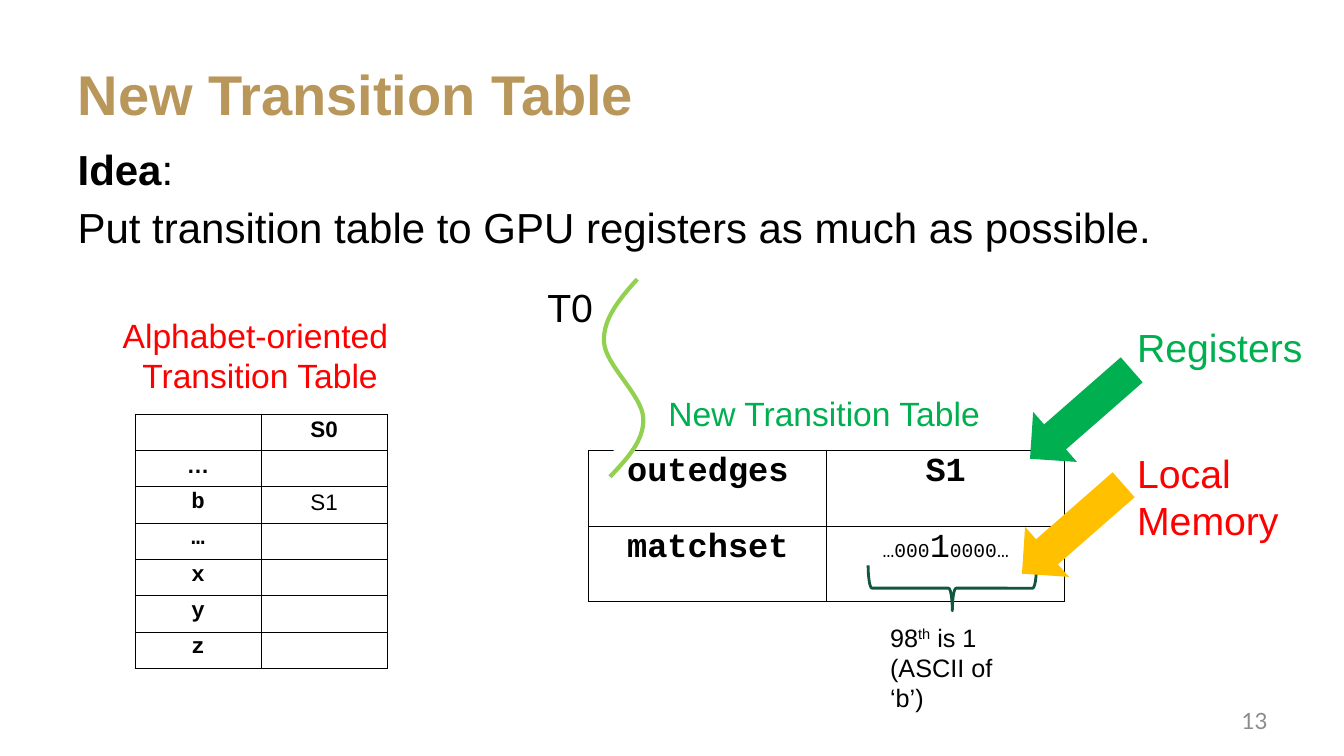
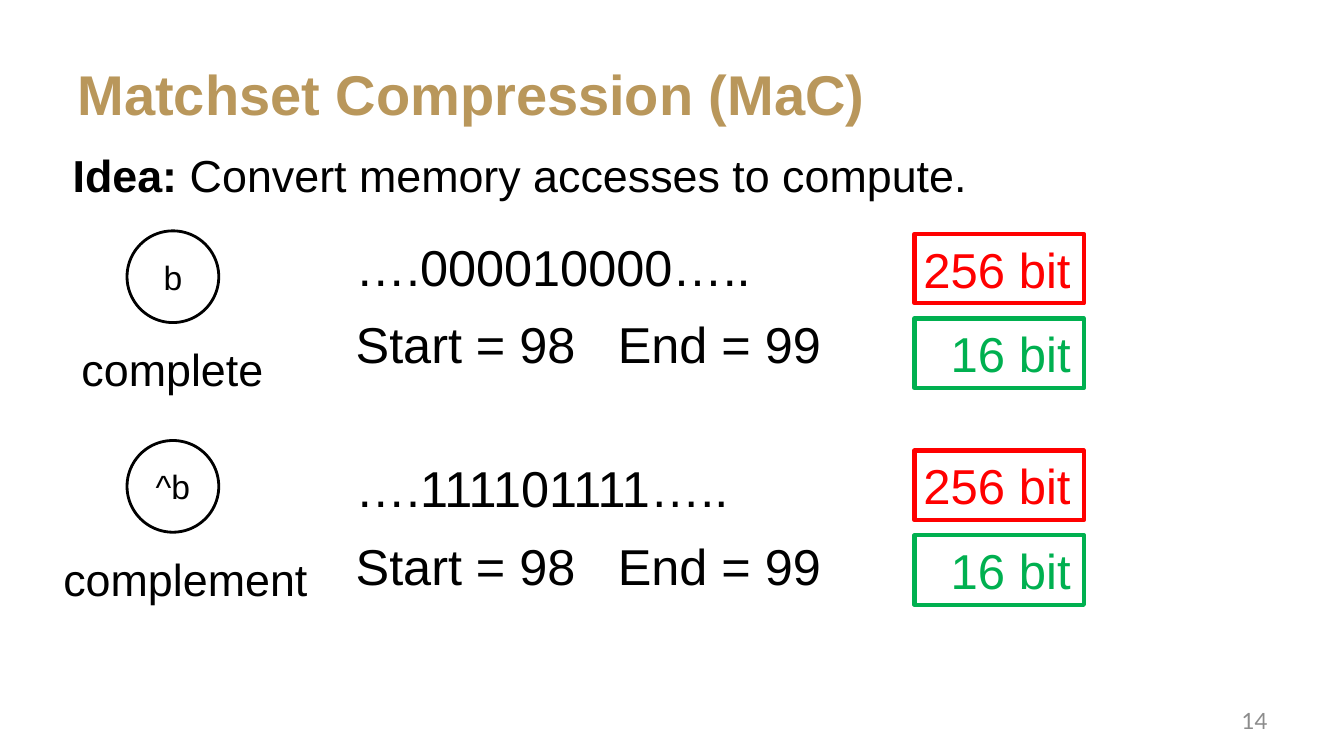
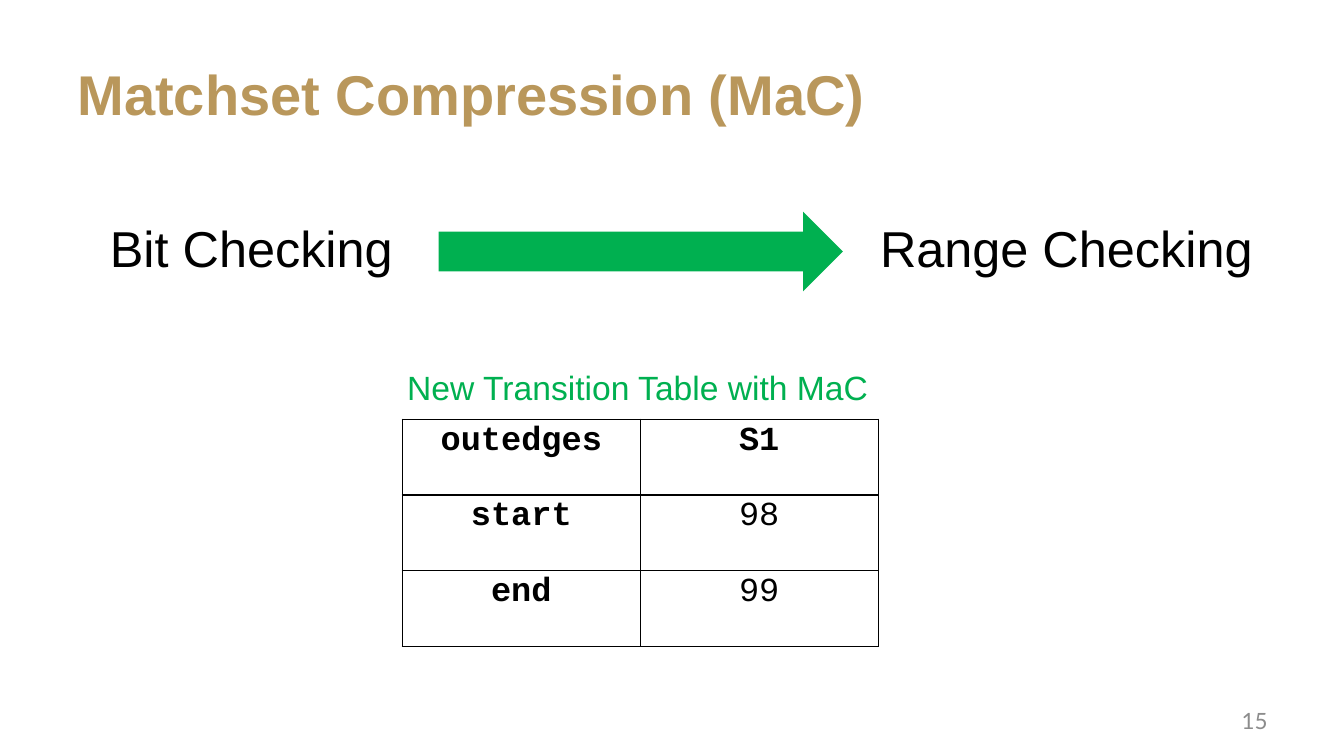
from lxml import etree
from pptx import Presentation
from pptx.dml.color import RGBColor
from pptx.enum import shapes, text
from pptx.oxml import ns
from pptx.util import Inches, Pt

GOLD = RGBColor(0xB9, 0x97, 0x5B)
BLACK = RGBColor(0, 0, 0)
WHITE = RGBColor(0xFF, 0xFF, 0xFF)
GRAY = RGBColor(0x8C, 0x8C, 0x8C)
RED = RGBColor(0xFF, 0, 0)
GREEN = RGBColor(0, 0xB0, 0x50)
AMBER = RGBColor(0xFF, 0xC0, 0)
LIME = RGBColor(0x92, 0xD0, 0x50)
DARK_GREEN = RGBColor(0x11, 0x57, 0x40)
SANS, MONO, FOOTER_FONT = "Arial", "Courier New", "Lato"
LEFT, CENTER, RIGHT = text.PP_ALIGN.LEFT, text.PP_ALIGN.CENTER, text.PP_ALIGN.RIGHT
SHAPE = shapes.MSO_SHAPE


def lengths(*values):
    """Turn inches into a list of lengths."""
    return [Inches(value) for value in values]


def place(shape, box):
    """Move and size a shape to a box in inches."""
    shape.left, shape.top, shape.width, shape.height = lengths(*box)


def write(paragraph, content, size, color=BLACK, name=SANS, bold=False, align=LEFT):
    """Fill a paragraph with a string or with runs that override its font."""
    font = paragraph.font
    font.size, font.name, font.color.rgb = Pt(size), name, color
    paragraph.alignment = align
    if isinstance(content, str):
        font.bold = bold
        content = [(content, {})]
    for words, changes in content:
        run = paragraph.add_run()
        run.text = words
        for attribute, value in changes.items():
            setattr(run.font, attribute, value)


def write_lines(frame, lines, size, **style):
    """Write one paragraph for each line of a text frame."""
    for index, line in enumerate(lines):
        paragraph = frame.add_paragraph() if index else frame.paragraphs[0]
        write(paragraph, line, size, **style)


def add_label(slide, box, lines, size, anchor=text.MSO_ANCHOR.TOP, **style):
    """Add a wrapped text box and return its text frame."""
    frame = slide.shapes.add_textbox(*lengths(*box)).text_frame
    frame.word_wrap = True
    frame.margin_right = 0
    frame.vertical_anchor = anchor
    write_lines(frame, lines, size, **style)
    return frame


def paint(shape, fill=None, line=None, width=1):
    """Set the fill and line of a shape and drop its shadow."""
    shape.shadow.inherit = False
    if fill is None:
        shape.fill.background()
    else:
        shape.fill.solid()
        shape.fill.fore_color.rgb = fill
    if line is None:
        shape.line.fill.background()
    else:
        shape.line.color.rgb, shape.line.width = line, Pt(width)


def add_figure(slide, kind, box, rotation=0, **colors):
    """Add a painted preset shape."""
    shape = slide.shapes.add_shape(kind, *lengths(*box))
    shape.rotation = rotation
    paint(shape, **colors)
    return shape


def add_slide(presentation, number, title, body_box, body, body_size):
    """Add a slide with title, unbulleted body and page number."""
    slide = presentation.slides.add_slide(presentation.slide_layouts[1])
    heading, content = slide.placeholders
    for shape, box in ((heading, (0.67, 0.3, 12, 1.25)), (content, body_box)):
        place(shape, box)
        shape.text_frame.auto_size = text.MSO_AUTO_SIZE.NONE
    write_lines(heading.text_frame, [title], 40, color=GOLD, bold=True)
    write_lines(content.text_frame, body, body_size)
    for paragraph in content.text_frame.paragraphs:
        properties = paragraph._p.get_or_add_pPr()
        properties.set("marL", "0")
        properties.set("indent", "0")
        properties.insert_element_before(
            properties.makeelement(ns.qn("a:buNone")), "a:tabLst", "a:defRPr", "a:extLst")
    frame = add_label(slide, (9.56, 6.95, 3.11, 0.4), [str(number)], 16, color=GRAY,
                      name=FOOTER_FONT, align=RIGHT, anchor=text.MSO_ANCHOR.MIDDLE)
    frame.margin_right = Inches(0.1)
    return slide


def border_cell(cell):
    """Draw thin black borders around a cell."""
    properties = cell._tc.get_or_add_tcPr()
    for index, side in enumerate(("lnL", "lnR", "lnT", "lnB")):
        line = etree.Element(ns.qn("a:" + side), w=str(Pt(1)))
        fill = etree.SubElement(line, ns.qn("a:solidFill"))
        etree.SubElement(fill, ns.qn("a:srgbClr"), val=str(BLACK))
        properties.insert(index, line)


def add_grid(slide, left, top, column_width, row_height, rows, size):
    """Add a bordered white table whose cells are (content, font, bold)."""
    columns = len(rows[0])
    box = (left, top, column_width * columns, row_height * len(rows))
    table = slide.shapes.add_table(len(rows), columns, *lengths(*box)).table
    table.first_row = table.horz_banding = False
    for row_index, row in enumerate(rows):
        table.rows[row_index].height = Inches(row_height)
        for column_index, (content, name, bold) in enumerate(row):
            cell = table.cell(row_index, column_index)
            cell.margin_left = cell.margin_right = Inches(0.07)
            cell.margin_top = cell.margin_bottom = Inches(0.03)
            cell.fill.solid()
            cell.fill.fore_color.rgb = WHITE
            border_cell(cell)
            if content:
                write(cell.text_frame.paragraphs[0], content, size,
                      name=name, bold=bold, align=CENTER)


def add_thread(slide, left, top):
    """Draw the wavy thread line from Bezier pieces."""
    pieces = [((0.33, 0), (0.16, 0.19), (-0.01, 0.39), (0, 0.62)),
              ((0, 0.62), (0.01, 0.85), (0.38, 1.15), (0.39, 1.38)),
              ((0.39, 1.38), (0.4, 1.6), (0.23, 1.78), (0.06, 1.96))]
    points = []
    for piece in pieces:
        for step in range(17):
            t = step / 16
            weights = ((1 - t) ** 3, 3 * t * (1 - t) ** 2, 3 * t * t * (1 - t), t ** 3)
            x, y = (sum(w * p[axis] for w, p in zip(weights, piece)) for axis in (0, 1))
            points.append((Inches(left + x), Inches(top + y)))
    builder = slide.shapes.build_freeform(*points[0])
    builder.add_line_segments(points[1:], close=False)
    paint(builder.convert_to_shape(), fill=WHITE, line=LIME, width=3)


def add_alphabet_table(slide, left, top):
    """Add the alphabet-oriented table under its caption."""
    add_label(slide, (left, top, 2.86, 0.91), ["Alphabet-oriented ", "Transition Table"],
              24, color=RED, align=CENTER)
    rows = [[("", SANS, False), ("S0", SANS, True)],
            [("…", SANS, True), ("", SANS, False)],
            [("b", MONO, True), ("S1", SANS, False)]]
    rows += [[(letter, MONO, True), ("", SANS, False)] for letter in "…xyz"]
    add_grid(slide, left + 0.24, top + 1.04, 1.25, 0.36, rows, 16)


def add_memory_pointer(slide, label_box, lines, label_color, arrow_box, arrow_color):
    """Add a label and the slanted arrow from it to the table."""
    add_figure(slide, SHAPE.RIGHT_ARROW, arrow_box, 138.8, fill=arrow_color)
    add_label(slide, label_box, lines, 28, color=label_color)


def add_register_table(slide, left, top):
    """Add the new transition table with its thread, bit note and pointers."""
    small, large = {"size": Pt(14)}, {"size": Pt(24)}
    bits = [("…000", small), ("1", large), ("0000…", small)]
    rows = [[("outedges", MONO, True), ("S1", MONO, True)],
            [("matchset", MONO, True), (bits, MONO, False)]]
    add_label(slide, (left - 0.51, top - 1.71, 0.76, 0.57), ["T0"], 28)
    add_grid(slide, left, top, 2.36, 0.75, rows, 24)
    add_figure(slide, SHAPE.RIGHT_BRACE, (left + 3.38, top + 0.53, 0.45, 1.67), 90,
               line=DARK_GREEN, width=2)
    frame = add_label(slide, (left + 2.89, top + 1.65, 1.31, 0.71),
                      [[("98", {}), ("th", {}), (" is 1", {})], "(ASCII of ‘b’)"], 18)
    frame.paragraphs[0].runs[1]._r.get_or_add_rPr().set("baseline", "30000")
    add_thread(slide, left + 0.15, top - 1.7)
    add_memory_pointer(slide, (left + 5.34, top - 0.06, 1.72, 1.04), ["Local", "Memory"], RED,
                       (left + 4.13, top + 0.45, 1.34, 0.66), AMBER)
    add_label(slide, (left + 0.69, top - 0.62, 3.32, 0.5), ["New Transition Table"],
              24, color=GREEN)
    add_memory_pointer(slide, (left + 5.34, top - 1.31, 1.86, 0.57), ["Registers"], GREEN,
                       (left + 4.21, top - 0.69, 1.34, 0.66), GREEN)


def add_match_case(slide, symbol, caption, caption_left, bits, tops):
    """Add one match case: circled symbol, bits, range and their sizes."""
    circle_top, bits_top, size_top = tops
    circle = add_figure(slide, SHAPE.OVAL, (1.26, circle_top, 0.91, 0.91), line=BLACK, width=2)
    write_lines(circle.text_frame, [symbol], 24, align=CENTER)
    add_label(slide, (caption_left, circle_top + 1.05, 2.64, 0.64), [caption], 32)
    add_label(slide, (3.43, bits_top, 4.16, 0.71), [bits], 36)
    frame = add_label(slide, (3.43, bits_top + 0.77, 5, 0.71), ["Start = 98\tEnd = 99"], 36)
    properties = frame.paragraphs[0]._p.get_or_add_pPr()
    tabs = properties.makeelement(ns.qn("a:tabLst"))
    etree.SubElement(tabs, ns.qn("a:tab"), pos=str(Inches(2.6)), algn="l")
    properties.insert_element_before(tabs, "a:defRPr", "a:extLst")
    for index, (size, color) in enumerate((("256 bit", RED), ("16 bit", GREEN))):
        badge = add_figure(slide, SHAPE.RECTANGLE, (9.07, size_top + 0.84 * index, 1.68, 0.69),
                           line=color, width=3)
        badge.text_frame.margin_left = 0
        badge.text_frame.margin_right = Inches(0.13)
        write_lines(badge.text_frame, [size], 35, color=color, align=RIGHT)


def add_range_table(slide, left, top):
    """Add the compressed transition table under its caption."""
    add_label(slide, (left - 0.05, top - 0.57, 4.82, 0.5), ["New Transition Table with MaC"],
              24, color=GREEN)
    rows = [[(key, MONO, True), (value, MONO, key == "outedges")]
            for key, value in (("outedges", "S1"), ("start", "98"), ("end", "99"))]
    add_grid(slide, left, top, 2.36, 0.75, rows, 24)


def build_transition_slide(presentation):
    """Build the slide on the new transition table."""
    body = [[("Idea", {"bold": True}), (":", {})],
            "Put transition table to GPU registers as much as possible."]
    slide = add_slide(presentation, 13, "New Transition Table", (0.67, 1.37, 12, 1.17), body, 30)
    add_alphabet_table(slide, 1.1, 3.07)
    add_register_table(slide, 5.84, 4.47)


def build_compression_slide(presentation):
    """Build the slide on the two match cases."""
    body = [[("Idea:", {"bold": True}), (" Convert memory accesses to compute.", {})]]
    slide = add_slide(presentation, 14, "Matchset Compression (MaC)",
                      (0.62, 1.42, 12.08, 0.79), body, 32)
    add_match_case(slide, "b", "complete", 0.71, "….000010000…..", (2.29, 2.29, 2.32))
    add_match_case(slide, "^b", "complement", 0.53, "….111101111…..", (4.37, 4.49, 4.47))


def build_range_slide(presentation):
    """Build the slide on range checking."""
    slide = add_slide(presentation, 15, "Matchset Compression (MaC)",
                      (0.99, 2.1, 3.46, 0.79), ["Bit Checking"], 36)
    add_figure(slide, SHAPE.RIGHT_ARROW, (4.35, 2.1, 4.01, 0.79), fill=GREEN)
    frame = add_label(slide, (8.63, 2.1, 4.2, 0.79), ["Range Checking"], 36)
    frame.paragraphs[0].space_before = Pt(7.2)
    add_range_table(slide, 3.99, 4.16)


def main():
    """Build and save the presentation."""
    presentation = Presentation()
    presentation.slide_width, presentation.slide_height = lengths(13.33, 7.5)
    build_transition_slide(presentation)
    build_compression_slide(presentation)
    build_range_slide(presentation)
    presentation.save("out.pptx")


if __name__ == "__main__":
    main()
